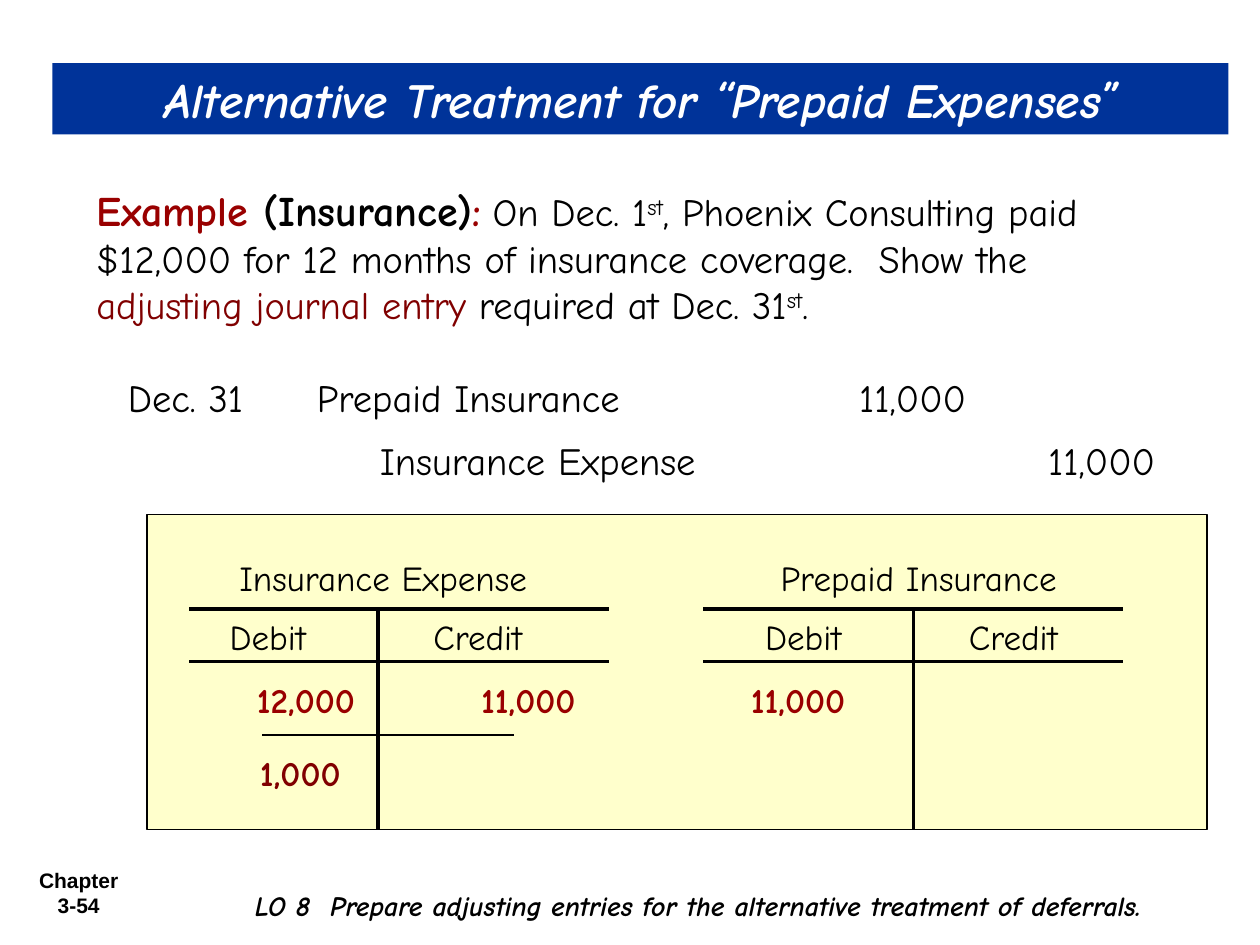
from dataclasses import dataclass

from lxml.etree import SubElement
from pptx import Presentation
from pptx.dml.color import RGBColor
from pptx.enum.shapes import MSO_CONNECTOR, MSO_SHAPE
from pptx.enum.text import MSO_ANCHOR, PP_ALIGN
from pptx.oxml.ns import qn
from pptx.util import Pt

PX = 7620  # EMU per px: 120 px to the inch
LEFT, CENTER, RIGHT = PP_ALIGN.LEFT, PP_ALIGN.CENTER, PP_ALIGN.RIGHT


@dataclass(frozen=True)
class Theme:
    font: str = "Comic Neue"
    chapter_font: str = "Arial"
    ink: str = "000000"
    white: str = "FFFFFF"
    banner: str = "003399"
    panel: str = "FFFFCC"
    red: str = "990000"
    maroon: str = "800000"
    title: int = 28
    lead: int = 24
    body: int = 22
    account: int = 20
    gap: int = 18
    objective: int = 16
    chapter: int = 12
    thick: float = 2.25
    thin: float = 1


THEME = Theme()

TITLE = "Alternative Treatment for “Prepaid Expenses”"
CHAPTER = "Chapter 3-54"
OBJECTIVE = "LO 8  Prepare adjusting entries for the alternative treatment of deferrals."

# text, size, colour, bold, superscript
EXAMPLE = [
    ("Example ", THEME.lead, THEME.red, True, False),
    ("(Insurance)", THEME.lead, THEME.ink, True, False),
    (":", THEME.lead, THEME.red, True, False),
    (" ", THEME.gap, THEME.ink, True, False),
    ("On Dec. 1", THEME.body, THEME.ink, False, False),
    ("st", THEME.body, THEME.ink, False, True),
    (", Phoenix Consulting paid $12,000 for 12 months of insurance coverage.  Show the ",
     THEME.body, THEME.ink, False, False),
    ("adjusting journal entry", THEME.body, THEME.maroon, False, False),
    (" required at Dec. 31", THEME.body, THEME.ink, False, False),
    ("st", THEME.body, THEME.ink, False, True),
    (".", THEME.body, THEME.ink, False, False),
]

# text, left, width, alignment for each cell of a journal row
JOURNAL_TOP, JOURNAL_STEP = 350, 60
JOURNAL = [
    [("Dec. 31", 110, 160, LEFT), ("Prepaid Insurance", 290, 460, LEFT),
     ("11,000", 760, 160, RIGHT)],
    [("Insurance Expense", 350, 400, LEFT), ("11,000", 940, 160, RIGHT)],
]

# amounts: text, left, top, width, alignment, colour
ACCOUNTS = [
    {"name": "Insurance Expense", "name_left": 170, "bar_left": 180, "stem": 360,
     "amounts": [("12,000", 170, 640, 180, RIGHT, THEME.red),
                 ("11,000", 380, 640, 180, RIGHT, THEME.red),
                 ("1,000", 216, 710, 140, CENTER, THEME.maroon)]},
    {"name": "Prepaid Insurance", "name_left": 680, "bar_left": 670, "stem": 870,
     "amounts": [("11,000", 690, 640, 140, CENTER, THEME.red)]},
]
ACCOUNT_TOP, HEADING_BASE, ACCOUNT_BOTTOM = 580, 630, 790
BAR_WIDTH = 400
SUBTOTAL_RULE = (250, 700, 490, 700)


def color(value):
    return RGBColor.from_string(value)


def style(font, size, ink, bold=False, italic=False, name=THEME.font):
    font.name, font.size, font.bold, font.italic = name, Pt(size), bold, italic
    font.color.rgb = color(ink)


def prepare_frame(shape, align, inset):
    """Set wrapping and (horizontal, vertical) insets; return the first paragraph."""
    frame = shape.text_frame
    frame.word_wrap = True
    frame.vertical_anchor = MSO_ANCHOR.TOP
    frame.margin_left = frame.margin_right = inset[0] * PX
    frame.margin_top = frame.margin_bottom = inset[1] * PX
    paragraph = frame.paragraphs[0]
    paragraph.alignment = align
    return paragraph


def add_text(slide, text, box, size, align=LEFT, ink=THEME.ink, inset=(12, 6), **font):
    shape = slide.shapes.add_textbox(*(value * PX for value in box))
    paragraph = prepare_frame(shape, align, inset)
    paragraph.text = text
    style(paragraph.font, size, ink, **font)
    return paragraph


def add_rectangle(slide, box, fill, line=None):
    shape = slide.shapes.add_shape(MSO_SHAPE.RECTANGLE, *(value * PX for value in box))
    shape.shadow.inherit = False
    shape.fill.solid()
    shape.fill.fore_color.rgb = color(fill)
    if line:
        shape.line.color.rgb = color(line)
        shape.line.width = Pt(THEME.thin)
    else:
        shape.line.fill.background()
    return shape


def add_line(slide, ends, width=THEME.thick):
    line = slide.shapes.add_connector(MSO_CONNECTOR.STRAIGHT, *(value * PX for value in ends))
    line.line.color.rgb = color(THEME.ink)
    line.line.width = Pt(width)
    SubElement(line._element.spPr, qn("a:effectLst"))


def add_example(slide):
    shape = slide.shapes.add_textbox(*(value * PX for value in (80, 170, 1060, 149)))
    paragraph = prepare_frame(shape, LEFT, (12, 6))
    for text, size, ink, bold, superscript in EXAMPLE:
        run = paragraph.add_run()
        run.text = text
        style(run.font, size, ink, bold)
        if superscript:
            run._r.get_or_add_rPr().set("baseline", "30000")


def add_journal(slide):
    for row, cells in enumerate(JOURNAL):
        for text, left, width, align in cells:
            inset = (0 if align == RIGHT else 12, 6)
            box = (left, JOURNAL_TOP + row * JOURNAL_STEP, width, 56)
            add_text(slide, text, box, THEME.body, align, inset=inset)


def add_account(slide, account):
    stem, bar = account["stem"], account["bar_left"]
    add_text(slide, account["name"], (account["name_left"], 530, 390, 40),
             THEME.account, CENTER, inset=(0, 0))
    add_line(slide, (stem, ACCOUNT_BOTTOM, stem, ACCOUNT_TOP))
    for y in (ACCOUNT_TOP, HEADING_BASE):
        add_line(slide, (bar, y, bar + BAR_WIDTH, y))
    for heading, left, width in (("Debit", stem - 200, 190), ("Credit", stem + 10, 170)):
        paragraph = add_text(slide, heading, (left, ACCOUNT_TOP, width, 46),
                             THEME.account, CENTER, inset=(0, 0))
        paragraph.line_spacing = 1.15
    for text, left, top, width, align, ink in account["amounts"]:
        add_text(slide, text, (left, top, width, 53), THEME.account, align, ink, bold=True)


def main():
    presentation = Presentation()
    presentation.slide_width, presentation.slide_height = 1200 * PX, 900 * PX
    slide = presentation.slides.add_slide(presentation.slide_layouts[6])

    banner = add_rectangle(slide, (50, 60, 1120, 68), THEME.banner)
    paragraph = prepare_frame(banner, CENTER, (12, 6))
    paragraph.text = TITLE
    style(paragraph.font, THEME.title, THEME.white, bold=True, italic=True)

    add_example(slide)
    add_journal(slide)
    add_rectangle(slide, (140, 490, 1010, 300), THEME.panel, THEME.ink)
    for account in ACCOUNTS:
        add_account(slide, account)
    add_line(slide, SUBTOTAL_RULE, THEME.thin)

    add_text(slide, CHAPTER, (20, 820, 110, 60), THEME.chapter, CENTER,
             bold=True, name=THEME.chapter_font)
    add_text(slide, OBJECTIVE, (130, 840, 1070, 44), THEME.objective, CENTER,
             bold=True, italic=True)
    presentation.save("out.pptx")


if __name__ == "__main__":
    main()
